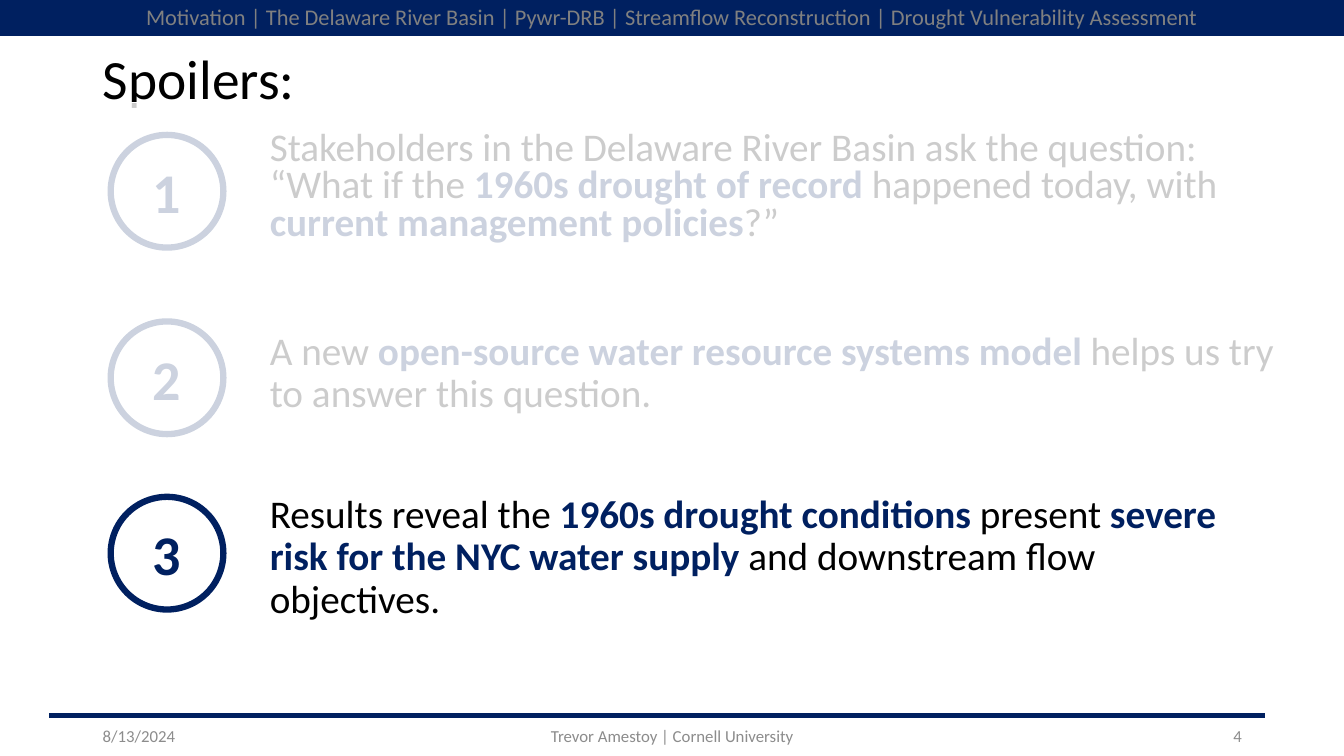
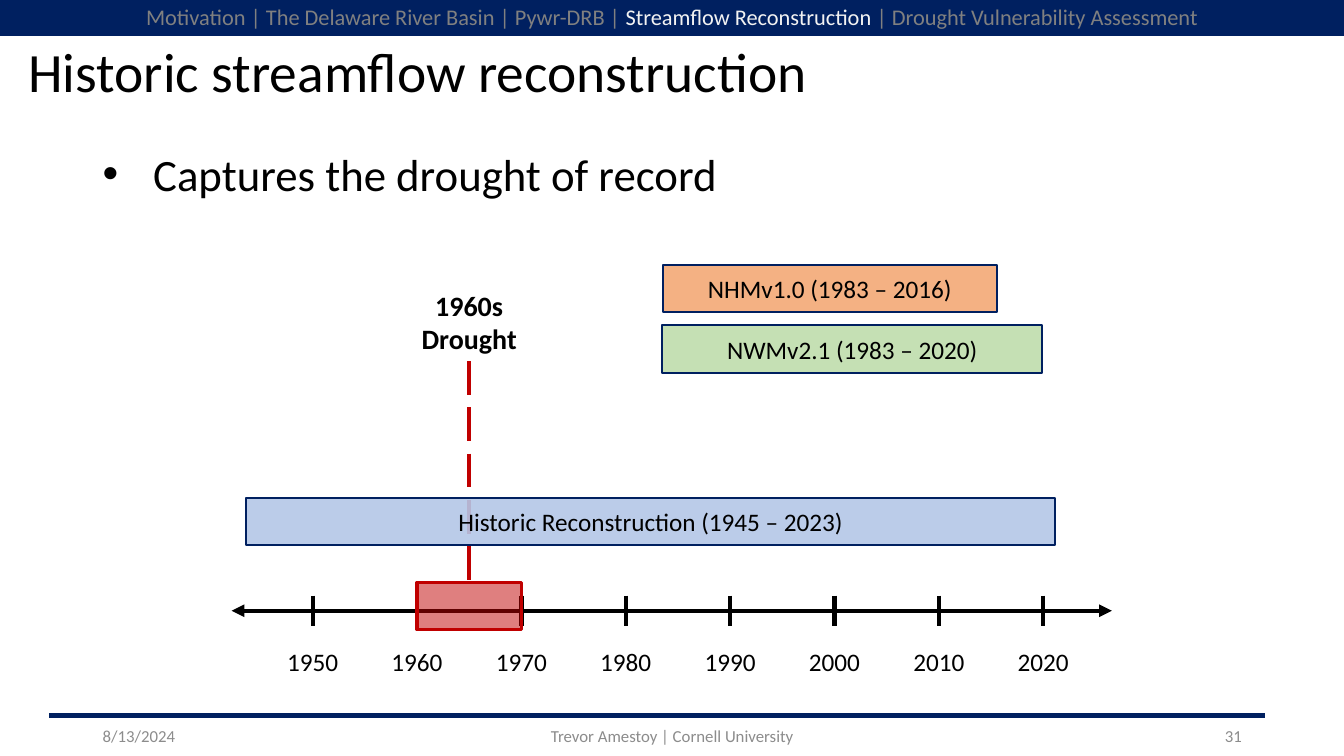
import pptx
import pptx.util
import pptx.dml.color
import pptx.enum.dml
import pptx.enum.shapes
import pptx.enum.text
import pptx.oxml
import pptx.oxml.ns
import lxml.etree

Cm = pptx.util.Cm
Pt = pptx.util.Pt
RGBColor = pptx.dml.color.RGBColor
SHAPE = pptx.enum.shapes.MSO_SHAPE
STRAIGHT = pptx.enum.shapes.MSO_CONNECTOR.STRAIGHT
ALIGN = pptx.enum.text.PP_ALIGN
ANCHOR = pptx.enum.text.MSO_ANCHOR
qn = pptx.oxml.ns.qn

NAVY = RGBColor(0x00, 0x20, 0x60)
BLACK = RGBColor(0x00, 0x00, 0x00)
WHITE = RGBColor(0xFF, 0xFF, 0xFF)
NAV_GRAY = RGBColor(0x80, 0x80, 0x80)
NAV_ACTIVE = RGBColor(0xF2, 0xF2, 0xF2)
FOOTER_GRAY = RGBColor(0x8C, 0x8C, 0x8C)
RED = RGBColor(0xC0, 0x00, 0x00)
ORANGE = RGBColor(0xF4, 0xB1, 0x83)
GREEN = RGBColor(0xC5, 0xE0, 0xB4)
BLUE = RGBColor(0xB4, 0xC7, 0xE7)
FONT = "Calibri"


def write(shape, paragraphs, size, color=BLACK, accent=NAVY, bold=False, accent_bold=True,
          align=ALIGN.LEFT, anchor=ANCHOR.TOP, spacing=None):
    tf = shape.text_frame
    tf.word_wrap = True
    tf.auto_size = pptx.enum.text.MSO_AUTO_SIZE.NONE
    tf.vertical_anchor = anchor
    for i, parts in enumerate(paragraphs):
        p = tf.add_paragraph() if i else tf.paragraphs[0]
        p.alignment = align
        p.line_spacing = spacing
        for j, text in enumerate(parts):
            r = p.add_run()
            r.text = text
            r.font.name = FONT
            r.font.size = Pt(size)
            r.font.bold = accent_bold if j % 2 else bold
            r.font.color.rgb = accent if j % 2 else color


def style(shape, line, width, fill=None, alpha=None):
    shape.line.color.rgb = line
    shape.line.width = Pt(width)
    spPr = shape.element.spPr
    if fill is None:
        lxml.etree.SubElement(spPr, qn("a:effectLst"))
        return
    shape.shadow.inherit = False
    shape.fill.solid()
    shape.fill.fore_color.rgb = fill
    if alpha:
        clr = spPr.find(qn("a:solidFill")).find(qn("a:srgbClr"))
        lxml.etree.SubElement(clr, qn("a:alpha")).set("val", str(alpha * 1000))


prs = pptx.Presentation()
prs.slide_width = Cm(33.87)
prs.slide_height = Cm(19.05)
layout = prs.slide_layouts[5]
slides = [prs.slides.add_slide(layout) for _ in range(2)]

band = slides[0].shapes.add_shape(SHAPE.RECTANGLE, 0, 0, prs.slide_width, Cm(0.89))
style(band, NAVY, 1, NAVY)
rule = slides[0].shapes.add_connector(STRAIGHT, Cm(1.24), Cm(18.03), Cm(31.88), Cm(18.03))
style(rule, NAVY, 3)
for i, shared in enumerate((band, rule)):
    shared.element.xpath(".//p:cNvPr")[0].set("id", str(20 + i))
    layout.shapes.element.insert(2 + i, shared.element)

headers = [
    ("Spoilers:", 2.34, 1.17, "4",
     ["Motivation | The Delaware River Basin | Pywr-DRB | Streamflow Reconstruction"
      " | Drought Vulnerability Assessment"]),
    ("Historic streamflow reconstruction", 0.46, 0.99, "31",
     ["Motivation | The Delaware River Basin | Pywr-DRB | ", "Streamflow Reconstruction",
      " | Drought Vulnerability Assessment"]),
]
for s, (title, left, top, number, nav) in zip(slides, headers):
    sp = s.shapes.title
    sp.left, sp.top, sp.width, sp.height = Cm(left), Cm(top), Cm(29.21), Cm(1.78)
    write(sp, [[title]], 39.6, anchor=ANCHOR.MIDDLE, spacing=0.9)
    footers = [
        ("8/13/2024", 2.34, 7.62, ALIGN.LEFT),
        ("Trevor Amestoy | Cornell University", 11.23, 11.43, ALIGN.CENTER),
        (number, 23.93, 7.62, ALIGN.RIGHT),
    ]
    for text, left, width, align in footers:
        sp = s.shapes.add_textbox(Cm(left), Cm(18.03), Cm(width), Cm(1.02))
        write(sp, [[text]], 12, FOOTER_GRAY, align=align, anchor=ANCHOR.MIDDLE)
    sp = s.shapes.add_textbox(0, Cm(-0.05), prs.slide_width, Cm(0.94))
    write(sp, [nav], 16, NAV_GRAY, NAV_ACTIVE, accent_bold=False, align=ALIGN.CENTER)

s = slides[0]
spoilers = [
    (3.4, 3.18, 25, 3.4, 0.8,
     ["Stakeholders in the Delaware River Basin ask the question: “What if the ",
      "1960s drought of record ", "happened today, with ", "current management policies", "?”"]),
    (8.1, 8.23, 26.01, 2.39, 0.9,
     ["A new ", "open-source water resource systems model ",
      "helps us try to answer this question."]),
    (12.52, 12.34, 25.17, 3.68, 0.9,
     ["Results reveal the ", "1960s drought conditions ", "present ",
      "severe risk for the NYC water supply", " and downstream flow objectives."]),
]
for i, (circle_top, top, width, height, spacing, parts) in enumerate(spoilers, 1):
    sp = s.shapes.add_shape(SHAPE.OVAL, Cm(2.79), Cm(circle_top), Cm(2.84), Cm(2.84))
    style(sp, NAVY, 4.5, WHITE)
    write(sp, [[str(i)]], 40, NAVY, bold=True, align=ALIGN.CENTER, anchor=ANCHOR.MIDDLE)
    sp = s.shapes.add_textbox(Cm(6.55), Cm(top), Cm(width), Cm(height))
    write(sp, [parts], 28, spacing=spacing)
veil = s.shapes.add_shape(SHAPE.RECTANGLE, Cm(1.02), Cm(2.59), Cm(31.22), Cm(8.86))
style(veil, WHITE, 1, WHITE, 80)

s = slides[1]
sp = s.shapes.add_textbox(Cm(2.34), Cm(3.56), Cm(28.4), Cm(1.63))
pPr = sp.text_frame.paragraphs[0]._p.get_or_add_pPr()
pPr.set("marL", str(Cm(1.27)))
pPr.set("indent", str(Cm(-1.27)))
lxml.etree.SubElement(pPr, qn("a:buFont")).set("typeface", "Arial")
lxml.etree.SubElement(pPr, qn("a:buChar")).set("char", "•")
write(sp, [["Captures the drought of record"]], 32)

axis_y = 15.39
first_tick = 7.88
decade = 2.63
axis = s.shapes.add_connector(STRAIGHT, Cm(5.84), Cm(axis_y), Cm(28.02), Cm(axis_y))
style(axis, BLACK, 3)
ln = axis.element.spPr.find(qn("a:ln"))
for end in ("a:headEnd", "a:tailEnd"):
    lxml.etree.SubElement(ln, qn(end)).set("type", "triangle")
for i in range(8):
    x = first_tick + i * decade
    tick = s.shapes.add_connector(STRAIGHT, Cm(x), Cm(axis_y - 0.38), Cm(x), Cm(axis_y + 0.38))
    style(tick, BLACK, 3)
    sp = s.shapes.add_textbox(Cm(x - 1.19), Cm(16.15), Cm(2.38), Cm(0.94))
    write(sp, [[str(1950 + 10 * i)]], 18, align=ALIGN.CENTER)

drought_x = first_tick + 1.5 * decade
label = s.shapes.add_textbox(Cm(drought_x - 3.63), Cm(7.14), Cm(7.26), Cm(1.96))
write(label, [["1960s"], ["Drought"]], 20, bold=True, align=ALIGN.CENTER)
drought = s.shapes.add_shape(SHAPE.RECTANGLE, Cm(first_tick + decade), Cm(14.68),
                             Cm(decade), Cm(1.19))
style(drought, RED, 2.25, RED, 50)
marker = s.shapes.add_connector(STRAIGHT, Cm(drought_x), Cm(9.1), Cm(drought_x), Cm(14.68))
marker.begin_connect(label, 2)
marker.end_connect(drought, 0)
style(marker, RED, 3)
marker.line.dash_style = pptx.enum.dml.MSO_LINE.LONG_DASH

bars = [
    ("NHMv1.0 (1983 – 2016)", 16.71, 6.68, 8.41, ORANGE, None),
    ("NWMv2.1 (1983 – 2020)", 16.69, 8.2, 9.58, GREEN, None),
    ("Historic Reconstruction (1945 – 2023)", 6.2, 12.55, 20.4, BLUE, 90),
]
for text, left, top, width, fill, alpha in bars:
    sp = s.shapes.add_shape(SHAPE.RECTANGLE, Cm(left), Cm(top), Cm(width), Cm(1.19))
    style(sp, NAVY, 1.5, fill, alpha)
    write(sp, [[text]], 18, align=ALIGN.CENTER, anchor=ANCHOR.MIDDLE)

prs.save("out.pptx")
